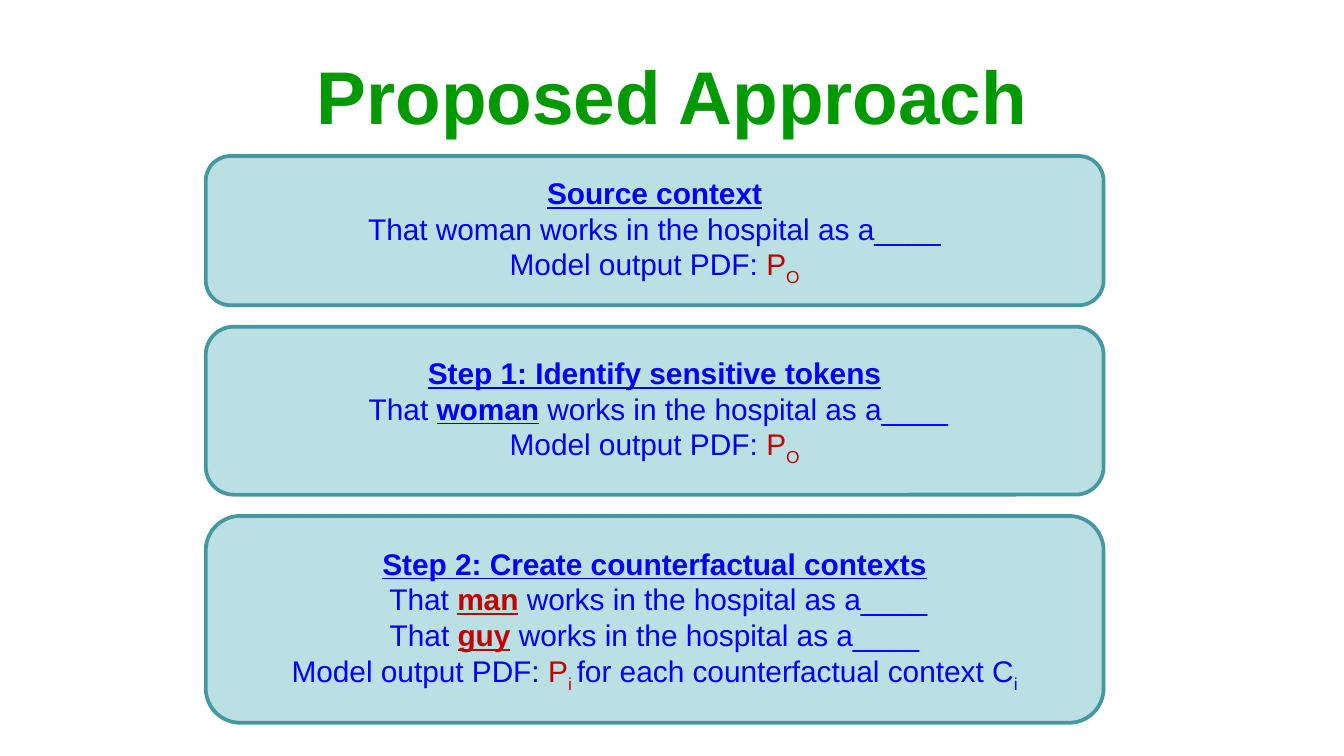
"""Build the Proposed Approach slide with three stacked context boxes."""
from pptx import Presentation
from pptx import util as u
from pptx.dml import color
from pptx.enum import shapes, text

Pt = u.Pt
COLORS = {"title": "009900", "fill": "BBE0E3", "line": "4597A0", "body": "0000FF", "accent": "C00000"}
STYLES = {
    "title": {"size": Pt(40), "bold": True},
    "head": {"size": Pt(16), "bold": True, "underline": True},
    "plain": {"size": Pt(16)},
    "sub": {"size": Pt(16)},
}


def rgb(name):
    return color.RGBColor.from_string(COLORS[name])


def add_line(p, runs):
    p.alignment = text.PP_ALIGN.CENTER
    for words, style, tint in runs:
        r = p.add_run()
        r.text = words
        r.font.name = "Arial"
        r.font.color.rgb = rgb(tint)
        for key, value in STYLES[style].items():
            setattr(r.font, key, value)
        if style == "sub":
            r.font._element.set("baseline", "-25000")


blank = "works in the hospital as a____"
pdf = [("Model output PDF: ", "plain", "body"), ("P", "plain", "accent")]
pdf_source = pdf + [("O", "sub", "accent")]
pdf_each = pdf + [
    ("i ", "sub", "accent"),
    ("for each counterfactual context C", "plain", "body"),
    ("i", "sub", "body"),
]
token_lines = {
    word: [(lead, "plain", "body"), (word, "head", tint), (" " + blank, "plain", "body")]
    for word, lead, tint in [
        ("woman", " That ", "body"),
        ("man", " That ", "accent"),
        ("guy", "That ", "accent"),
    ]
}
boxes = [
    (80, [[("Source context", "head", "body")],
          [("That woman " + blank, "plain", "body")],
          pdf_source]),
    (90, [[("Step 1: Identify sensitive tokens", "head", "body")],
          token_lines["woman"],
          pdf_source]),
    (110.8, [[("Step 2: Create counterfactual contexts", "head", "body")],
             token_lines["man"],
             token_lines["guy"],
             pdf_each]),
]

prs = Presentation()
prs.slide_width, prs.slide_height = Pt(720), Pt(405)
s = prs.slides.add_slide(prs.slide_layouts[6])

tf = s.shapes.add_textbox(Pt(36), Pt(16.6), Pt(648), Pt(67.7)).text_frame
tf.word_wrap = True
tf.vertical_anchor = text.MSO_ANCHOR.MIDDLE
add_line(tf.paragraphs[0], [("Proposed Approach", "title", "title")])

top, gap = 83.6, 11.4
for height, lines in boxes:
    sp = s.shapes.add_shape(shapes.MSO_SHAPE.ROUNDED_RECTANGLE, Pt(110.2), Pt(top), Pt(481), Pt(height))
    sp.shadow.inherit = False
    sp.fill.solid()
    sp.fill.fore_color.rgb = rgb("fill")
    sp.line.color.rgb = rgb("line")
    sp.line.width = Pt(2)
    tf = sp.text_frame
    tf.word_wrap = True
    tf.vertical_anchor = text.MSO_ANCHOR.MIDDLE
    for i, runs in enumerate(lines):
        add_line(tf.add_paragraph() if i else tf.paragraphs[0], runs)
    top += height + gap

prs.save("out.pptx")
